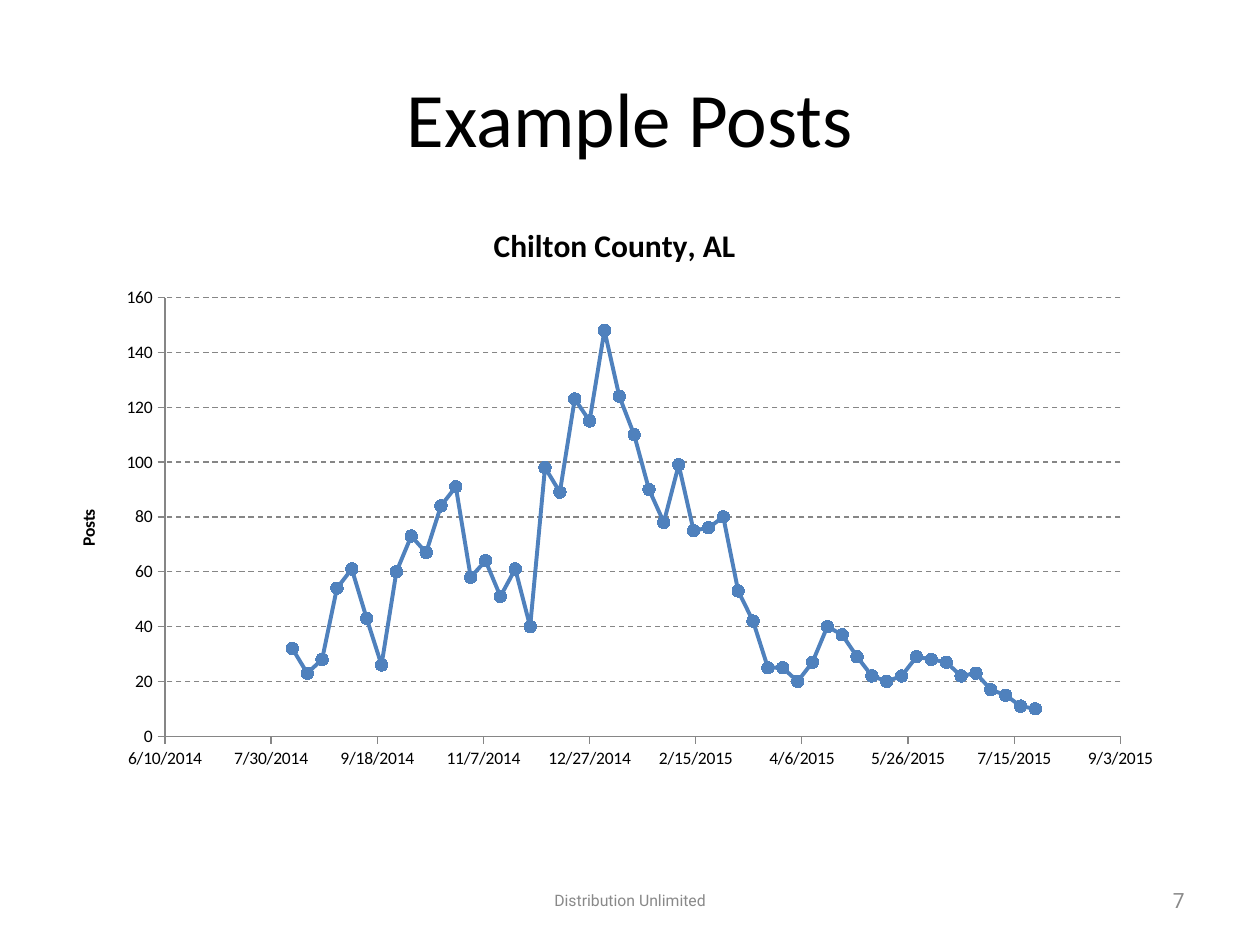
from lxml import etree
from pptx import Presentation
from pptx.chart.data import XyChartData
from pptx.dml.color import RGBColor
from pptx.enum.chart import XL_CHART_TYPE, XL_MARKER_STYLE, XL_TICK_MARK
from pptx.enum.dml import MSO_LINE
from pptx.enum.text import MSO_ANCHOR, PP_ALIGN
from pptx.oxml.ns import qn
from pptx.util import Cm, Pt

BLACK = RGBColor(0x00, 0x00, 0x00)
FOOTER_GREY = RGBColor(0x89, 0x89, 0x89)
AXIS_GREY = RGBColor(0x86, 0x86, 0x86)
SERIES_BLUE = RGBColor(0x4F, 0x81, 0xBD)

# Weekly post counts; dates are spreadsheet day serials
FIRST_WEEK = 41860
POSTS = [
    32, 23, 28, 54, 61, 43, 26, 60, 73, 67, 84, 91, 58, 64, 51, 61, 40,
    98, 89, 123, 115, 148, 124, 110, 90, 78, 99, 75, 76, 80, 53, 42, 25,
    25, 20, 27, 40, 37, 29, 22, 20, 22, 29, 28, 27, 22, 23, 17, 15, 11, 10,
]


def style_font(font, size, color, name="Calibri", bold=False):
    font.size = Pt(size)
    font.name = name
    font.bold = bold
    font.color.rgb = color


def add_text(slide, box, text, size, color, font_name, align):
    frame = slide.shapes.add_textbox(*map(Cm, box)).text_frame
    frame.word_wrap = True
    frame.vertical_anchor = MSO_ANCHOR.MIDDLE
    paragraph = frame.paragraphs[0]
    paragraph.alignment = align
    run = paragraph.add_run()
    run.text = text
    style_font(run.font, size, color, font_name)


def add_heading(title_owner, text, size):
    """Give a chart or an axis a bold title."""
    frame = (title_owner.chart_title if hasattr(title_owner, "chart_title")
             else title_owner.axis_title).text_frame
    run = frame.paragraphs[0].add_run()
    run.text = text
    style_font(run.font, size, BLACK, bold=True)


def style_axis(axis, low, high, step, number_format):
    axis.minimum_scale, axis.maximum_scale = low, high
    axis.major_unit = step
    axis.major_tick_mark = XL_TICK_MARK.OUTSIDE
    axis.minor_tick_mark = XL_TICK_MARK.NONE
    axis.tick_labels.number_format = number_format
    axis.tick_labels.number_format_is_linked = False
    axis.format.line.color.rgb = AXIS_GREY
    axis.format.line.width = Pt(0.75)


def place_plot(chart, **fractions):
    """Fix the inner plot area as fractions of the chart."""
    plot_area = chart.plots[0]._element.getparent()
    for old_layout in plot_area.findall(qn("c:layout")):
        plot_area.remove(old_layout)
    layout = etree.Element(qn("c:layout"))
    manual = etree.SubElement(layout, qn("c:manualLayout"))
    settings = {"layoutTarget": "inner", "xMode": "edge", "yMode": "edge"}
    for tag, value in {**settings, **fractions}.items():
        etree.SubElement(manual, qn(f"c:{tag}")).set("val", str(value))
    plot_area.insert(0, layout)


def add_post_chart(slide, box):
    data = XyChartData()
    weeks = data.add_series("Series 1")
    for week, count in enumerate(POSTS):
        weeks.add_data_point(FIRST_WEEK + 7 * week, count)
    chart = slide.shapes.add_chart(
        XL_CHART_TYPE.XY_SCATTER_LINES, *map(Cm, box), data).chart
    style_font(chart.font, 10, BLACK)
    chart.has_legend = False
    chart.has_title = True
    add_heading(chart, "Chilton County, AL", 18)
    place_plot(chart, x=0.1, y=0.17, w=0.85, h=0.76)

    # Axes and gridlines
    dates, counts = chart.category_axis, chart.value_axis
    style_axis(dates, 41800, 42250, 50, "m/d/yyyy")
    style_axis(counts, 0, 160, 20, "0")
    dates.has_major_gridlines = False
    counts.has_major_gridlines = True
    grid = counts.major_gridlines.format.line
    grid.color.rgb = AXIS_GREY
    grid.width = Pt(0.75)
    grid.dash_style = MSO_LINE.DASH
    add_heading(counts, "Posts", 10)

    # Post line
    chart.plots[0].vary_by_categories = False
    series = chart.plots[0].series[0]
    series.smooth = False
    series.format.line.color.rgb = SERIES_BLUE
    series.format.line.width = Pt(2.25)
    marker = series.marker
    marker.style = XL_MARKER_STYLE.CIRCLE
    marker.size = 7
    marker.format.fill.solid()
    marker.format.fill.fore_color.rgb = SERIES_BLUE
    marker.format.line.color.rgb = SERIES_BLUE


def main():
    presentation = Presentation()
    presentation.slide_width, presentation.slide_height = Cm(25.4), Cm(19.05)
    slide = presentation.slides.add_slide(presentation.slide_layouts[6])

    # Title
    add_text(slide, (1.27, 0.76, 22.86, 3.18), "Example Posts",
             44, BLACK, "Calibri", PP_ALIGN.CENTER)
    # Footer and page number
    add_text(slide, (8.68, 17.65, 8.04, 1.01), "Distribution Unlimited",
             9, FOOTER_GREY, "Roboto", PP_ALIGN.CENTER)
    add_text(slide, (18.2, 17.65, 5.93, 1.01), "7",
             12, FOOTER_GREY, "Roboto", PP_ALIGN.RIGHT)
    # Chart
    add_post_chart(slide, (1.06, 4.02, 22.66, 11.64))

    presentation.save("out.pptx")


if __name__ == "__main__":
    main()
